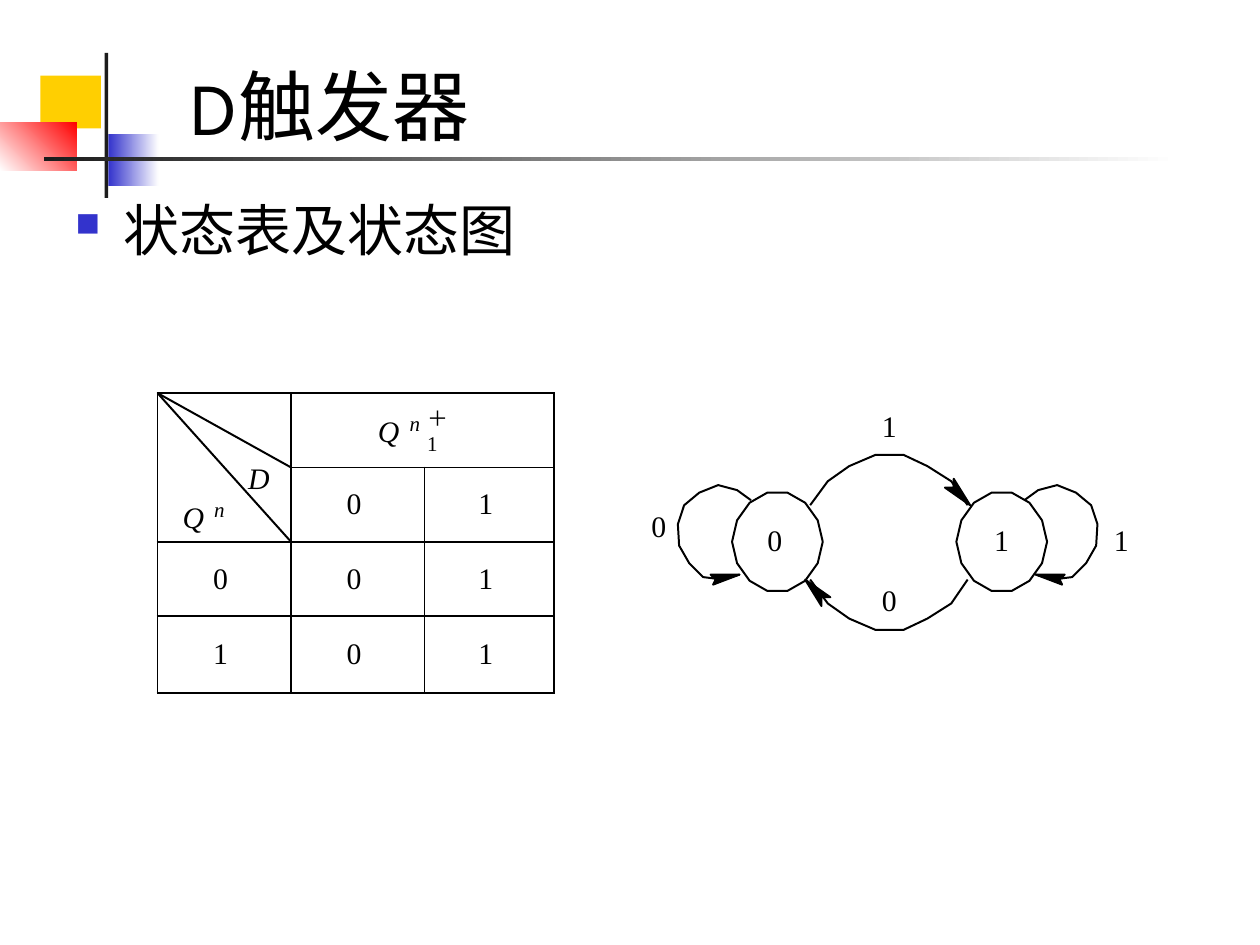
import math
from typing import NamedTuple

from lxml import etree
from pptx import Presentation
from pptx import util as u
from pptx.dml.color import RGBColor
from pptx.enum import lang, shapes, text
from pptx.oxml import ns

BLACK = RGBColor(0, 0, 0)
WHITE = RGBColor(255, 255, 255)
INK = RGBColor(0x1C, 0x1C, 0x1C)
YELLOW = RGBColor(0xFF, 0xCF, 0x01)
RED = RGBColor(255, 0, 0)
BLUE = RGBColor(0x33, 0x33, 0xCC)

SERIF, SANS = "Times New Roman", "Karla"
LINE = u.Pt(1.13)
GRID = u.Inches(0.01)  # freeform points are in hundredths of an inch

Points = list[tuple[float, float]]


class Block(NamedTuple):
    left: float
    top: float
    width: float
    height: float
    colors: tuple[RGBColor, ...]
    angle: float = 0


class Label(NamedTuple):
    words: str
    left: float
    top: float
    width: float = 0.12
    size: float = 17
    italic: bool = False
    wrap: bool = False


DECOR = [
    Block(0.32, 0.6, 0.48, 0.42, (YELLOW,)),
    Block(0.86, 1.06, 0.4, 0.42, (BLUE, WHITE)),
    Block(0, 0.97, 0.61, 0.38, (WHITE, RED), 45),
    Block(0.83, 0.42, 0.03, 1.15, (INK,)),
    Block(0.35, 1.25, 9, 0.03, (INK, WHITE)),
]

TABLE_LEFT, TABLE_TOP = 1.25, 3.12
COLUMNS, ROWS = (1.06, 1.06, 1.03), (0.59, 0.59, 0.59, 0.61)
STATES = [("", "", ""), ("", "0", "1"), ("0", "0", "1"), ("1", "0", "1")]
TABLE_LABELS = [
    Label("Q", 3, 3.28, 0.17, italic=True),
    Label("n", 3.25, 3.26, 0.08, 12, True),
    Label("＋1", 3.39, 3.22, 0.24, 12, wrap=True),
    Label("Q", 1.45, 3.96, 0.17, italic=True),
    Label("n", 1.7, 3.94, 0.08, 12, True),
    Label("D", 1.97, 3.65, 0.17, italic=True),
]

DIAGRAM_LABELS = [
    Label("1", 7, 3.24), Label("0", 7, 4.62),
    Label("0", 6.09, 4.14), Label("1", 7.89, 4.14),
    Label("0", 5.17, 4.03), Label("1", 8.84, 4.14),
]
NODE_CENTERS = [(617, 430), (795, 430)]
MIRROR_X, MIRROR_Y = 1409, 861  # sums of mirrored coordinates
UPPER_ARC = [(768, 401), (755, 382), (736, 370), (717, 361),
             (695, 361), (674, 370), (657, 382), (643, 401)]
UPPER_HEAD = [(757, 380), (757, 387), (750, 387), (770, 401)]
LEFT_LOOP = [(596, 397), (585, 389), (570, 385), (555, 391), (543, 401), (538, 416),
             (539, 433), (547, 447), (558, 458), (574, 460), (587, 456)]
LEFT_HEAD = [(564, 456), (568, 460), (566, 464), (587, 456)]


def flip_x(points: Points) -> Points:
    return [(MIRROR_X - x, y) for x, y in points]


def flip_y(points: Points) -> Points:
    return [(x, MIRROR_Y - y) for x, y in points]


def node_outline(center: tuple[float, float], sides: int = 14) -> Points:
    turns = [math.pi + 2 * math.pi * i / sides for i in range(sides)]
    return [(center[0] + 36 * math.cos(t), center[1] + 40 * math.sin(t)) for t in turns]


def add_block(slide, block: Block) -> None:
    box = slide.shapes.add_shape(shapes.MSO_SHAPE.RECTANGLE, *map(u.Inches, block[:4]))
    box.shadow.inherit = False
    box.line.fill.background()
    if len(block.colors) == 1:
        box.fill.solid()
        box.fill.fore_color.rgb = block.colors[0]
        return
    box.fill.gradient()
    box.fill.gradient_angle = block.angle
    for position, (stop, color) in enumerate(zip(box.fill.gradient_stops, block.colors)):
        stop.position = position
        stop.color.rgb = color


def style_font(font, name: str, size: float, italic: bool = False) -> None:
    font.name, font.size, font.italic = name, u.Pt(size), italic
    font.color.rgb = BLACK


def add_label(slide, label: Label) -> None:
    box = slide.shapes.add_textbox(*map(u.Inches, (
        label.left, label.top, label.width, label.size / 60)))
    frame = box.text_frame
    frame.margin_left = frame.margin_right = frame.margin_top = frame.margin_bottom = 0
    frame.word_wrap = label.wrap
    frame.auto_size = text.MSO_AUTO_SIZE.SHAPE_TO_FIT_TEXT
    frame.text = label.words
    style_font(frame.paragraphs[0].runs[0].font, SERIF, label.size, label.italic)


def add_outline(slide, points: Points, fill: RGBColor | None = None) -> None:
    """Draw a closed outline if it has a fill, else an open line."""
    builder = slide.shapes.build_freeform(*points[0], scale=GRID)
    builder.add_line_segments(points[1:], close=fill is not None)
    outline = builder.convert_to_shape()
    outline.shadow.inherit = False
    outline.line.color.rgb, outline.line.width = BLACK, LINE
    if fill is None:
        outline.fill.background()
    else:
        outline.fill.solid()
        outline.fill.fore_color.rgb = fill


def add_diagonal(slide, right: float, bottom: float) -> None:
    line = slide.shapes.add_connector(shapes.MSO_CONNECTOR.STRAIGHT, *map(u.Inches, (
        TABLE_LEFT, TABLE_TOP, right, bottom)))
    line.line.color.rgb, line.line.width = BLACK, LINE
    etree.SubElement(line._element.spPr, ns.qn("a:effectLst"))


def style_cell(cell) -> None:
    properties = cell._tc.get_or_add_tcPr()
    for side in ("lnL", "lnR", "lnT", "lnB"):
        border = etree.SubElement(properties, ns.qn(f"a:{side}"), w=str(int(LINE)))
        fill = etree.SubElement(border, ns.qn("a:solidFill"))
        etree.SubElement(fill, ns.qn("a:srgbClr"), val=str(BLACK))
    cell.fill.solid()
    cell.fill.fore_color.rgb = WHITE
    cell.margin_left = cell.margin_top = cell.margin_bottom = 0
    cell.margin_right = u.Inches(0.06)
    cell.vertical_anchor = text.MSO_ANCHOR.MIDDLE


def add_state_table(slide) -> None:
    table = slide.shapes.add_table(len(ROWS), len(COLUMNS), *map(u.Inches, (
        TABLE_LEFT, TABLE_TOP, sum(COLUMNS), sum(ROWS)))).table
    table.first_row = table.horz_banding = False
    for column, width in zip(table.columns, COLUMNS):
        column.width = u.Inches(width)
    for row, height, values in zip(table.rows, ROWS, STATES):
        row.height = u.Inches(height)
        for cell, value in zip(row.cells, values):
            style_cell(cell)
            cell.text = value
            paragraph = cell.text_frame.paragraphs[0]
            paragraph.alignment = text.PP_ALIGN.CENTER
            style_font(paragraph.font, SERIF, 17)
            for run in paragraph.runs:
                style_font(run.font, SERIF, 17)
    table.cell(0, 0).merge(table.cell(1, 0))
    table.cell(0, 1).merge(table.cell(0, 2))
    for rows in (2, 1):
        add_diagonal(slide, TABLE_LEFT + COLUMNS[0], TABLE_TOP + sum(ROWS[:rows]))
    for label in TABLE_LABELS:
        add_label(slide, label)


def add_state_diagram(slide) -> None:
    for center in NODE_CENTERS:
        add_outline(slide, node_outline(center), WHITE)
    for line in (UPPER_ARC, flip_y(UPPER_ARC), LEFT_LOOP, flip_x(LEFT_LOOP)):
        add_outline(slide, line)
    for head in (UPPER_HEAD, flip_x(flip_y(UPPER_HEAD)), LEFT_HEAD, flip_x(LEFT_HEAD)):
        add_outline(slide, head, BLACK)
    for label in DIAGRAM_LABELS:
        add_label(slide, label)


def add_heading(slide, words: str, place: tuple[float, ...], size: float, anchor, bullet=False) -> None:
    frame = slide.shapes.add_textbox(*map(u.Inches, place)).text_frame
    frame.word_wrap, frame.vertical_anchor = True, anchor
    frame.text = words
    paragraph = frame.paragraphs[0]
    if bullet:
        properties = paragraph._p.get_or_add_pPr()
        properties.set("marL", str(u.Inches(0.38)))
        properties.set("indent", str(u.Inches(-0.38)))
        color = etree.SubElement(properties, ns.qn("a:buClr"))
        etree.SubElement(color, ns.qn("a:srgbClr"), val=str(BLUE))
        etree.SubElement(properties, ns.qn("a:buSzPct"), val="60000")
        etree.SubElement(properties, ns.qn("a:buChar"), char="■")
    font = paragraph.runs[0].font
    style_font(font, SANS, size)
    font.language_id = lang.MSO_LANGUAGE_ID.SIMPLIFIED_CHINESE


def main() -> None:
    deck = Presentation()
    deck.slide_width, deck.slide_height = u.Inches(10), u.Inches(7.5)
    slide = deck.slides.add_slide(deck.slide_layouts[6])
    for block in DECOR:
        add_block(slide, block)
    add_heading(slide, "状态表及状态图", (0.5, 1.5, 9.17, 5.33), 32, text.MSO_ANCHOR.TOP, bullet=True)
    add_heading(slide, "D触发器", (1.39, 0.58, 8.52, 0.67), 44, text.MSO_ANCHOR.BOTTOM)
    add_state_diagram(slide)
    add_state_table(slide)
    deck.save("out.pptx")


if __name__ == "__main__":
    main()
